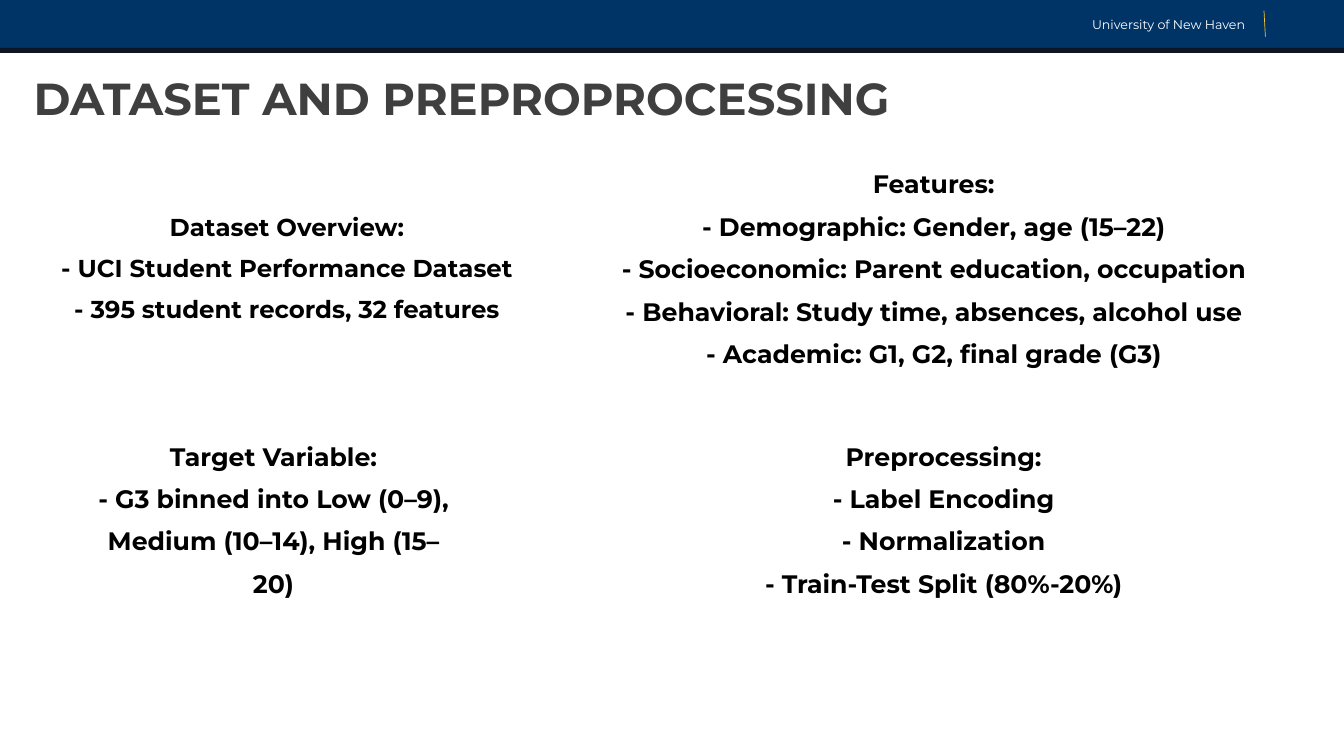
import pptx
import pptx.dml.color
import pptx.enum.shapes
import pptx.enum.text
import pptx.oxml.ns
import pptx.util
import lxml.etree

Pt = pptx.util.Pt
RGBColor = pptx.dml.color.RGBColor
PP_ALIGN = pptx.enum.text.PP_ALIGN
MSO_ANCHOR = pptx.enum.text.MSO_ANCHOR
MSO_AUTO_SIZE = pptx.enum.text.MSO_AUTO_SIZE

NAVY = RGBColor(0x00, 0x33, 0x66)
INK = RGBColor(0x0E, 0x16, 0x24)
GOLD = RGBColor(0xFF, 0xCC, 0x33)
GREY = RGBColor(0x3F, 0x3F, 0x3F)
BLACK = RGBColor(0x00, 0x00, 0x00)
WHITE = RGBColor(0xFF, 0xFF, 0xFF)

WIDTH, HEIGHT = 1440, 810
BAR_HEIGHT = 51.3

SECTIONS = [
    ((64.8, 214.6, 485.3, 127.4), 26.2, 44.1, [
        "Dataset Overview:",
        "- UCI Student Performance Dataset",
        "- 395 student records, 32 features",
    ]),
    ((666, 167.8, 668.9, 221.8), 27, 45.4, [
        "Features:",
        "- Demographic: Gender, age (15–22)",
        "- Socioeconomic: Parent education, occupation",
        "- Behavioral: Study time, absences, alcohol use",
        "- Academic: G1, G2, final grade (G3)",
    ]),
    ((93.6, 459.4, 398.9, 131.8), 27, 45.4, [
        "Target Variable:",
        "- G3 binned into Low (0–9),",
        "Medium (10–14), High (15–20)",
    ]),
    ((819.4, 459.4, 383, 177.1), 27, 45.4, [
        "Preprocessing:",
        "- Label Encoding",
        "- Normalization",
        "- Train-Test Split (80%-20%)",
    ]),
]


def add_text(p, text, *, font, size, color, bold, align, leading):
    p.alignment = align
    p.line_spacing = Pt(leading)
    r = p.add_run()
    r.text = text
    r.font.name = font
    r.font.size = Pt(size)
    r.font.bold = bold
    r.font.color.rgb = color


class Deck:
    font = "Montserrat"

    def __init__(self):
        self.prs = pptx.Presentation()
        self.prs.slide_width = Pt(WIDTH)
        self.prs.slide_height = Pt(HEIGHT)
        self.s = self.prs.slides.add_slide(self.prs.slide_layouts[6])

    def bar(self, top, height, color):
        sp = self.s.shapes.add_shape(
            pptx.enum.shapes.MSO_SHAPE.RECTANGLE, 0, Pt(top), Pt(WIDTH), Pt(height))
        sp.shadow.inherit = False
        sp.fill.solid()
        sp.fill.fore_color.rgb = color
        sp.line.fill.background()

    def line(self, x1, y1, x2, y2, color, width):
        sp = self.s.shapes.add_connector(
            pptx.enum.shapes.MSO_CONNECTOR.STRAIGHT, Pt(x1), Pt(y1), Pt(x2), Pt(y2))
        sp.line.color.rgb = color
        sp.line.width = Pt(width)
        lxml.etree.SubElement(sp._element.spPr, pptx.oxml.ns.qn("a:effectLst"))

    def text(self, box, lines, *, size, leading, color=BLACK, bold=True,
             align=PP_ALIGN.CENTER, anchor=MSO_ANCHOR.TOP, inset_top=0, grow=False):
        sp = self.s.shapes.add_textbox(*map(Pt, box))
        tf = sp.text_frame
        tf.word_wrap = True
        tf.auto_size = MSO_AUTO_SIZE.SHAPE_TO_FIT_TEXT if grow else MSO_AUTO_SIZE.NONE
        tf.vertical_anchor = anchor
        tf.margin_left = tf.margin_right = tf.margin_bottom = 0
        tf.margin_top = Pt(inset_top)
        for i, line in enumerate(lines):
            p = tf.add_paragraph() if i else tf.paragraphs[0]
            add_text(p, line, font=self.font, size=size, color=color,
                     bold=bold, align=align, leading=leading)


def main():
    deck = Deck()
    deck.bar(0, BAR_HEIGHT, NAVY)
    deck.text((1070.6, 18, 263.5, 15.8), ["University of New Haven"],
              size=13.5, leading=16.2, color=WHITE, bold=False,
              align=PP_ALIGN.RIGHT, anchor=MSO_ANCHOR.MIDDLE)
    deck.line(1354.3, 11.5, 1355.8, 39.6, GOLD, 0.75)
    deck.bar(BAR_HEIGHT, 5.3, INK)
    deck.text((36, 71.3, 1368, 123.8), ["DATASET AND PREPROPROCESSING"],
              size=48, leading=51.8, color=GREY, align=PP_ALIGN.LEFT, inset_top=10)
    for box, size, leading, lines in SECTIONS:
        deck.text(box, lines, size=size, leading=leading, grow=True)
    deck.prs.save("out.pptx")


if __name__ == "__main__":
    main()
